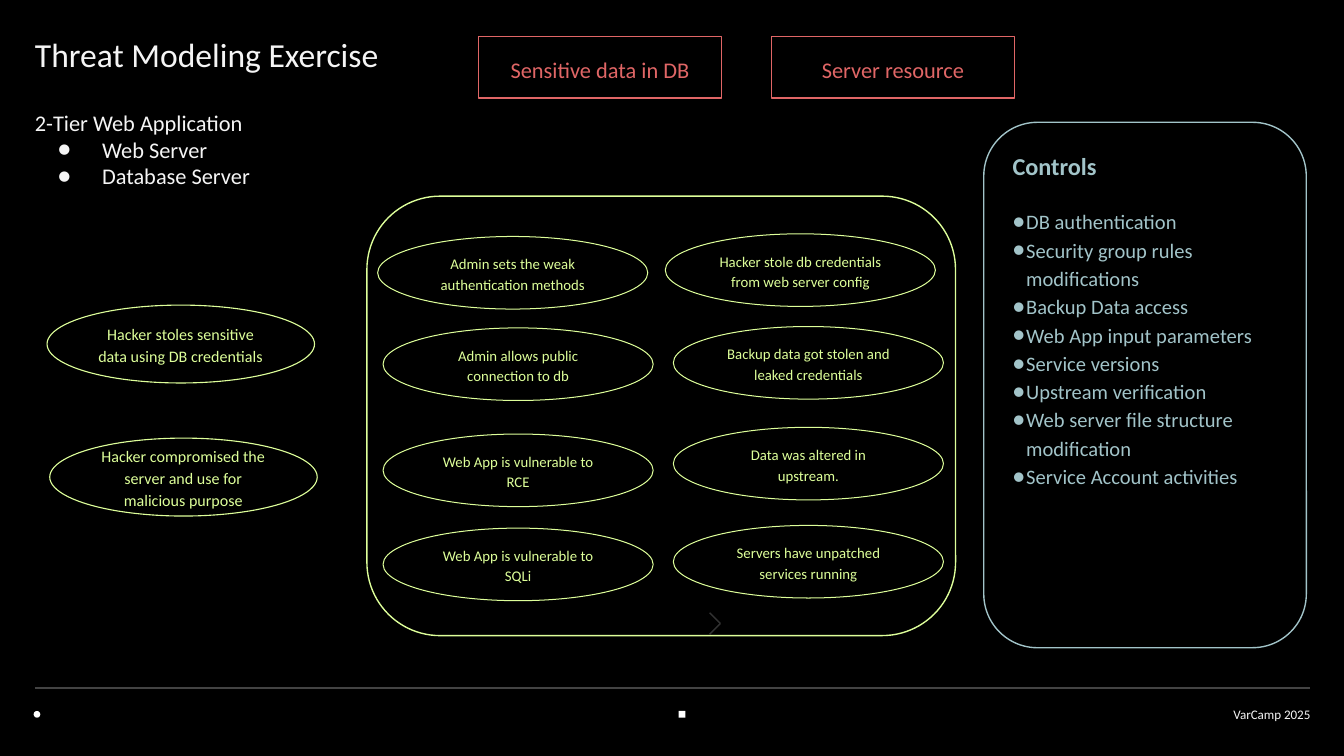
from lxml.etree import SubElement
from pptx import Presentation
from pptx.dml.color import RGBColor
from pptx.enum.shapes import MSO_CONNECTOR, MSO_SHAPE
from pptx.enum.text import MSO_ANCHOR, PP_ALIGN
from pptx.oxml.ns import qn
from pptx.util import Inches, Pt

WIDTH = 10
HEIGHT = WIDTH * 9 / 16
FONT = "Calibri"
BLACK, WHITE, PALE = "000000", "FFFFFF", "F5F5F5"
RED, LIME, TEAL = "E06666", "DEFF9A", "A2C4C9"
RULE_GRAY, ARROW_GRAY = "434343", "323232"

# Content
TITLE = "Threat Modeling Exercise"
SYSTEM = "2-Tier Web Application"
TIERS = ["Web Server", "Database Server"]
ASSETS = ["Sensitive data in DB", "Server resource"]
THREATS = [
    ("Hacker stoles sensitive data using DB credentials", 0.35, 2.27),
    ("Hacker compromised the server and use for malicious purpose", 0.37, 3.26),
]
CAUSES = [
    ("Admin sets the weak authentication methods", 2.81, 1.76),
    ("Admin allows public connection to db", 2.85, 2.44),
    ("Web App is vulnerable to RCE", 2.85, 3.23),
    ("Web App is vulnerable to SQLi", 2.85, 3.93),
    ("Hacker stole db credentials from web server config", 4.95, 1.74),
    ("Backup data got stolen and leaked credentials", 5.01, 2.43),
    ("Data was altered in upstream.", 5.01, 3.18),
    ("Servers have unpatched services running", 5.01, 3.91),
]
CONTROLS = [
    "DB authentication",
    "Security group rules modifications",
    "Backup Data access",
    "Web App input parameters",
    "Service versions",
    "Upstream verification",
    "Web server file structure modification",
    "Service Account activities",
]
FOOTER = "VarCamp 2025"

presentation = Presentation()
presentation.slide_width, presentation.slide_height = Inches(WIDTH), Inches(HEIGHT)
slide = presentation.slides.add_slide(presentation.slide_layouts[6])


def color(value):
    return RGBColor.from_string(value)


slide.background.fill.solid()
slide.background.fill.fore_color.rgb = color(BLACK)


def add_shape(kind, left, top, width, height, line=None, weight=0.75, fill=None):
    shape = slide.shapes.add_shape(
        kind, Inches(left), Inches(top), Inches(width), Inches(height))
    shape.shadow.inherit = False
    if fill:
        shape.fill.solid()
        shape.fill.fore_color.rgb = color(fill)
    else:
        shape.fill.background()
    if line:
        shape.line.color.rgb = color(line)
        shape.line.width = Pt(weight)
    else:
        shape.line.fill.background()
    return shape


def add_line(start, end, line):
    connector = slide.shapes.add_connector(
        MSO_CONNECTOR.STRAIGHT, *(Inches(value) for value in (*start, *end)))
    connector.line.color.rgb = color(line)
    connector.line.width = Pt(0.75)
    SubElement(connector._element.spPr, qn("a:effectLst"))


def set_frame(shape, inset, anchor):
    frame = shape.text_frame
    frame.word_wrap = True
    frame.vertical_anchor = anchor
    frame.margin_left = frame.margin_right = Inches(inset)
    frame.margin_top = frame.margin_bottom = Inches(inset)
    return frame


def add_text_box(left, top, width, height, anchor=MSO_ANCHOR.TOP):
    box = slide.shapes.add_textbox(
        Inches(left), Inches(top), Inches(width), Inches(height))
    return set_frame(box, 0, anchor)


def write(paragraph, text, size, text_color, align=PP_ALIGN.LEFT, spacing=None, bold=False):
    paragraph.alignment = align
    if spacing:
        paragraph.line_spacing = spacing
    run = paragraph.add_run()
    run.text = text
    run.font.name, run.font.size, run.font.bold = FONT, Pt(size), bold
    run.font.color.rgb = color(text_color)


def add_bullets(frame, items, size, text_color, indent, hanging, spacing=None):
    for item in items:
        paragraph = frame.add_paragraph()
        properties = paragraph._p.get_or_add_pPr()
        properties.set("marL", str(Inches(indent)))
        properties.set("indent", str(Inches(-hanging)))
        bullet_color = SubElement(properties, qn("a:buClr"))
        SubElement(bullet_color, qn("a:srgbClr")).set("val", text_color)
        SubElement(properties, qn("a:buFont")).set("typeface", FONT)
        SubElement(properties, qn("a:buChar")).set("char", "●")
        write(paragraph, item, size, text_color, spacing=spacing)


def add_label(kind, place, text, size, line, weight, inset):
    shape = add_shape(kind, *place, line, weight)
    frame = set_frame(shape, inset, MSO_ANCHOR.MIDDLE)
    write(frame.paragraphs[0], text, size, line, PP_ALIGN.CENTER, 1.15)


# Footer rule, chevron and marks
add_line((0.26, 5.12), (9.75, 5.12), RULE_GRAY)
for tail_top in (4.72, 4.56):
    add_line((5.28, tail_top), (5.36, 4.64), ARROW_GRAY)
for kind, left in ((MSO_SHAPE.OVAL, 0.25), (MSO_SHAPE.RECTANGLE, 5.05)):
    add_shape(kind, left, 5.29, 0.05, 0.05, fill=WHITE)

# Title and system description
write(add_text_box(0.26, 0.25, 3.52, 0.38).paragraphs[0], TITLE, 18, PALE)
system_frame = add_text_box(0.26, 0.81, 2.4, 0.74)
write(system_frame.paragraphs[0], SYSTEM, 12, PALE)
add_bullets(system_frame, TIERS, 12, PALE, 0.5, 0.33)

# Assets along the top
for column, asset in enumerate(ASSETS):
    add_label(MSO_SHAPE.RECTANGLE, (3.56 + column * 2.18, 0.27, 1.81, 0.46),
              asset, 12, RED, 0.75, 0.1)

# Threats and their causes
for text, left, top in THREATS:
    add_label(MSO_SHAPE.OVAL, (left, top, 1.99, 0.58), text, 8.6, LIME, 0.59, 0.08)
for text, left, top in CAUSES:
    add_label(MSO_SHAPE.OVAL, (left, top, 2.01, 0.54), text, 7.9, LIME, 0.54, 0.07)

# Controls panel
panel = add_shape(MSO_SHAPE.ROUNDED_RECTANGLE, 7.32, 0.91, 2.4, 3.91, TEAL)
controls_frame = set_frame(panel, 0.1, MSO_ANCHOR.TOP)
write(controls_frame.paragraphs[0], "Controls", 13, TEAL, bold=True)
controls_frame.paragraphs[0].space_after = Pt(13.4)
add_bullets(controls_frame, CONTROLS, 11, TEAL, 0.1, 0.13, 1.15)

# Footer text
footer_frame = add_text_box(7.5, 5.12, 2.25, 0.25, MSO_ANCHOR.BOTTOM)
write(footer_frame.paragraphs[0], FOOTER, 7, PALE, PP_ALIGN.RIGHT)

# Frame around the causes
add_shape(MSO_SHAPE.ROUNDED_RECTANGLE, 2.73, 1.46, 4.38, 3.27, LIME)

presentation.save("out.pptx")
